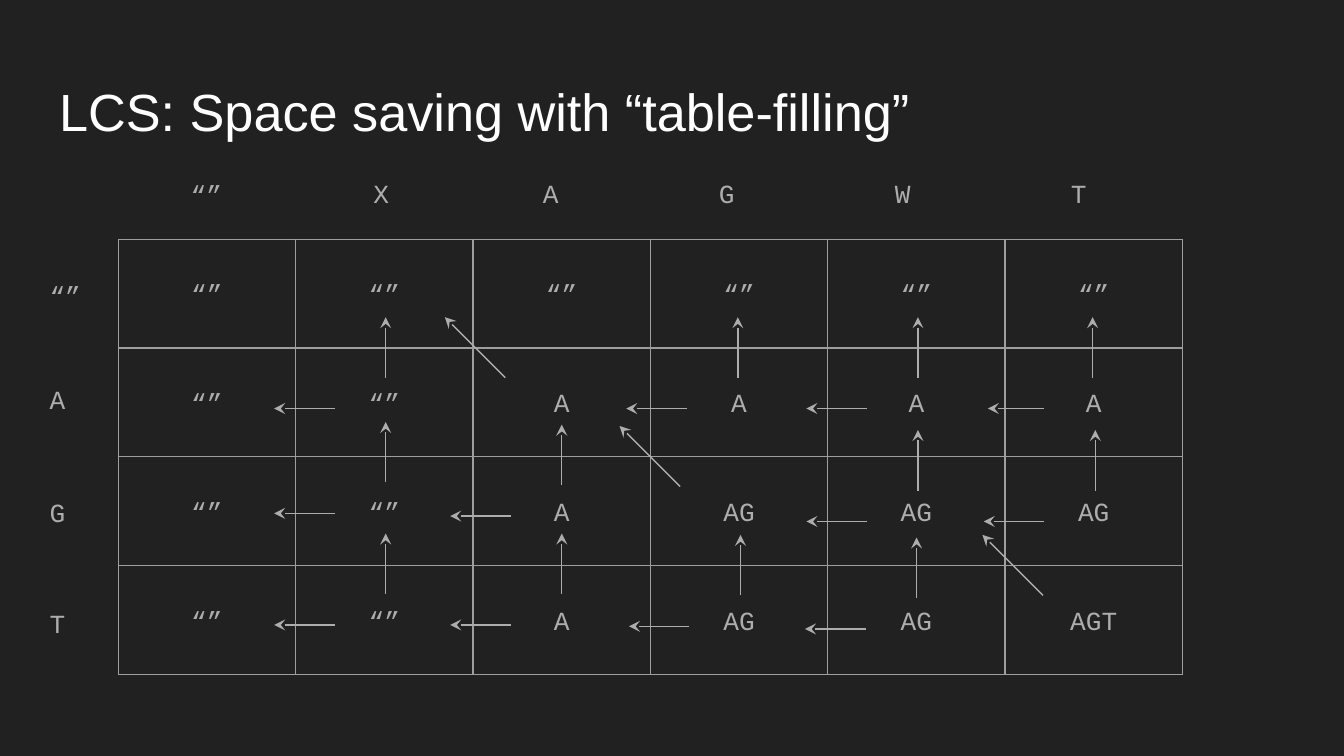
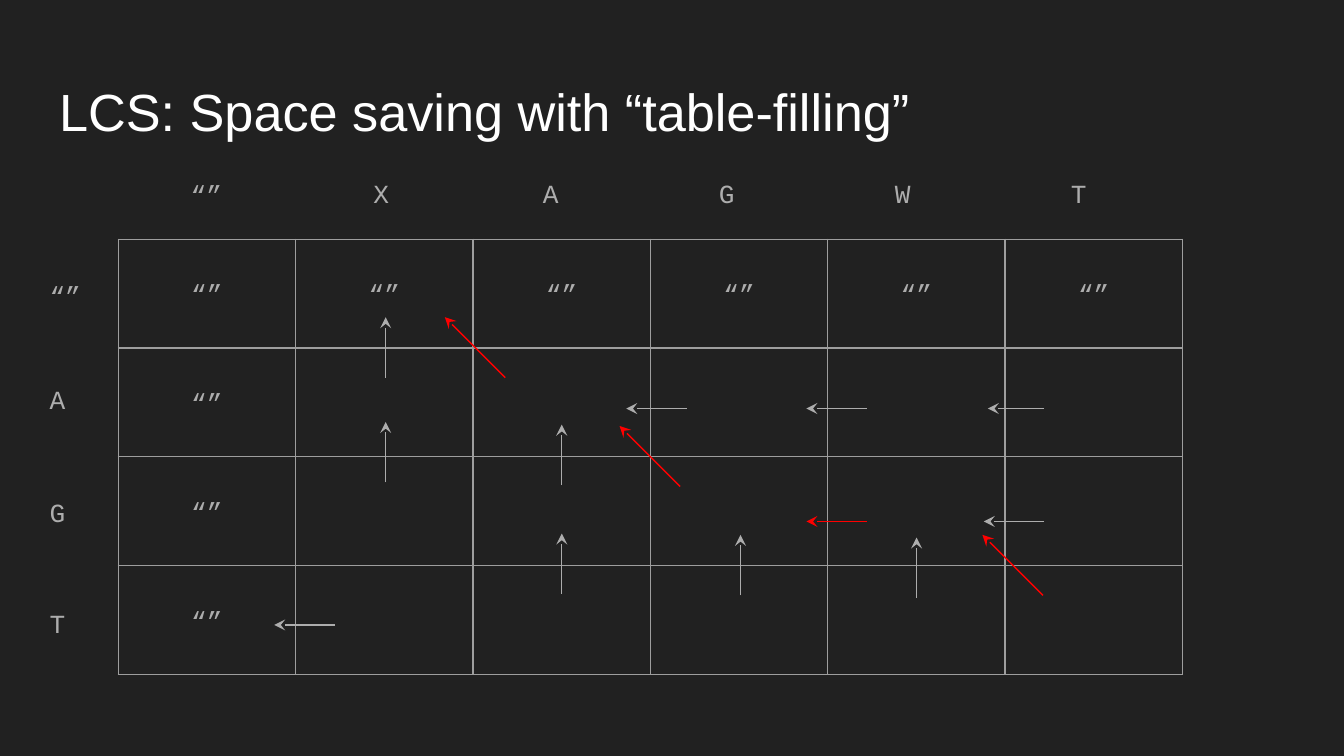
"""Build two slides on filling and tracing the table of a longest common subsequence."""
from dataclasses import dataclass

from lxml import etree
from pptx import Presentation
from pptx import util as u
from pptx.dml.color import RGBColor
from pptx.enum import shapes, text
from pptx.oxml.ns import qn


@dataclass(frozen=True)
class Theme:
    """Colours, fonts and sizes shared by the slides."""
    ground: RGBColor = RGBColor(0x21, 0x21, 0x21)
    title: RGBColor = RGBColor(0xFF, 0xFF, 0xFF)
    body: RGBColor = RGBColor(0xAD, 0xAD, 0xAD)
    path_mark: RGBColor = RGBColor(0xFF, 0x00, 0x00)
    border: str = "9E9E9E"
    title_font: str = "Arial"
    code_font: str = "Courier New"
    title_size: u.Pt = u.Pt(28)
    code_size: u.Pt = u.Pt(14)
    line: u.Pt = u.Pt(0.75)
    inset: u.Inches = u.Inches(0.1)


@dataclass(frozen=True)
class Step:
    """Tail of a cell's left or diagonal arrow, and how the others follow from it."""
    x: float
    y: float
    reach: float = 0.45
    up_gap: float = 0.38


THEME = Theme()
TITLE = "LCS: Space saving with “table-filling”"
EMPTY = "“”"
COLUMN_LABELS = list(zip([EMPTY, *"XAGWT"], [1.32, 2.68, 3.94, 5.25, 6.56, 7.87]))
ROW_LABELS = list(zip([EMPTY, *"AGT"], [1.98, 2.75, 3.59, 4.42]))
ROW_HEIGHT, COLUMN_WIDTH = 0.81, 1.32
ARROW, UP_RISE = 0.45, 0.23

SUBSEQUENCES = [
    [EMPTY] * 6,
    [EMPTY, EMPTY, "A", "A", "A", "A"],
    [EMPTY, EMPTY, "A", "AG", "AG", "AG"],
    [EMPTY, EMPTY, "A", "AG", "AG", "AGT"],
]
STEPS = [
    [Step(2.49, 3.04), Step(3.76, 2.81), Step(5.11, 3.04), Step(6.45, 3.04),
     Step(7.77, 3.04, reach=0.42, up_gap=0.36)],
    [Step(2.49, 3.82), Step(3.8, 3.84), Step(5.06, 3.62), Step(6.45, 3.88), Step(7.77, 3.88)],
    [Step(2.49, 4.65), Step(3.8, 4.65), Step(5.13, 4.66), Step(6.44, 4.68), Step(7.76, 4.43)],
]
ALL_MOVES = [
    ["LU", "D", "LU", "LU", "LU"],
    ["LU", "LU", "D", "LU", "LU"],
    ["LU", "LU", "LU", "LU", "D"],
]
CHOSEN_MOVES = ["UDLLL", "UUDLL", "LUUUD"]
MOVE_BACK = {"L": (0, 1), "U": (1, 0), "D": (1, 1)}


def style_para(para, font, size, color):
    """Set one font on a whole paragraph."""
    para.font.name = font
    para.font.size = size
    para.font.color.rgb = color


def style_frame(frame):
    """Give a text frame the shared insets and wrapping."""
    frame.margin_left = frame.margin_right = THEME.inset
    frame.margin_top = frame.margin_bottom = THEME.inset
    frame.word_wrap = True
    frame.auto_size = text.MSO_AUTO_SIZE.NONE
    frame.vertical_anchor = text.MSO_ANCHOR.TOP


def add_title(page):
    """Place and style the title placeholder."""
    box = page.shapes.title
    box.left, box.top = u.Inches(0.34), u.Inches(0.49)
    box.width, box.height = u.Inches(9.32), u.Inches(0.63)
    box.text_frame.text = TITLE
    style_frame(box.text_frame)
    para = box.text_frame.paragraphs[0]
    para.alignment = text.PP_ALIGN.LEFT
    style_para(para, THEME.title_font, THEME.title_size, THEME.title)


def add_label(page, label, left, top):
    """Add a letter beside or above the table."""
    box = page.shapes.add_textbox(u.Inches(left), u.Inches(top), u.Inches(0.55), u.Inches(0.45))
    box.text_frame.text = label
    style_frame(box.text_frame)
    style_para(box.text_frame.paragraphs[0], THEME.code_font, THEME.code_size, THEME.body)


def style_cell(cell):
    """Draw the four borders of a cell and clear its fill."""
    properties = cell._tc.get_or_add_tcPr()
    for side in ("a:lnL", "a:lnR", "a:lnT", "a:lnB"):
        border = etree.SubElement(properties, qn(side), w=str(int(THEME.line)))
        fill = etree.SubElement(border, qn("a:solidFill"))
        etree.SubElement(fill, qn("a:srgbClr"), val=THEME.border)
    cell.fill.background()


def add_grid(page, rows):
    """Add the table of subsequences."""
    row_count, column_count = len(rows), len(rows[0])
    table = page.shapes.add_table(
        row_count, column_count, u.Inches(0.88), u.Inches(1.78),
        u.Inches(COLUMN_WIDTH * column_count), u.Inches(ROW_HEIGHT * row_count)).table
    table.first_row = table.horz_banding = False
    for column in table.columns:
        column.width = u.Inches(COLUMN_WIDTH)
    for row, values in zip(table.rows, rows):
        row.height = u.Inches(ROW_HEIGHT)
        for cell, value in zip(row.cells, values):
            style_cell(cell)
            if value:
                cell.text = value
                cell.margin_top = u.Inches(0.32)
                para = cell.text_frame.paragraphs[0]
                para.alignment = text.PP_ALIGN.CENTER
                style_para(para, THEME.code_font, THEME.code_size, THEME.body)


def add_arrow(canvas, step, move, color):
    """Draw the left, up or diagonal arrow of one cell."""
    x, y = step.x, step.y
    if move == "U":
        x, y = x + step.up_gap, y - UP_RISE
    rise, run = MOVE_BACK[move]
    reach = step.reach if move == "L" else ARROW
    arrow = canvas.add_connector(
        shapes.MSO_CONNECTOR.STRAIGHT, u.Inches(x), u.Inches(y),
        u.Inches(x - run * reach), u.Inches(y - rise * reach))
    arrow.line.color.rgb = color
    arrow.line.width = THEME.line
    properties = arrow.element.spPr
    etree.SubElement(properties.find(qn("a:ln")), qn("a:tailEnd"), type="stealth")
    etree.SubElement(properties, qn("a:effectLst"))


def trace_path(moves):
    """Follow the moves back from the last cell and return the cells passed."""
    row, column = len(moves), len(moves[0])
    cells = set()
    while row and column:
        cells.add((row, column))
        rise, run = MOVE_BACK[moves[row - 1][column - 1]]
        row, column = row - rise, column - run
    return cells


def add_arrows(page, moves, path_cells=()):
    """Draw every cell's arrows, grouped where a cell has two."""
    for row, (steps, row_moves) in enumerate(zip(STEPS, moves), 1):
        for column, (step, cell_moves) in enumerate(zip(steps, row_moves), 1):
            color = THEME.path_mark if (row, column) in path_cells else THEME.body
            canvas = page.shapes
            if len(cell_moves) > 1:
                canvas = page.shapes.add_group_shape().shapes
            for move in cell_moves:
                add_arrow(canvas, step, move, color)


def add_page(deck, rows, moves, path_cells=()):
    """Add a slide with its title, table, labels and arrows."""
    page = deck.slides.add_slide(deck.slide_layouts.get_by_name("Title Only"))
    add_title(page)
    add_grid(page, rows)
    for label, left in COLUMN_LABELS:
        add_label(page, label, left, 1.23 if label == EMPTY else 1.22)
    for label, top in ROW_LABELS:
        add_label(page, label, 0.27, top)
    add_arrows(page, moves, path_cells)


def main():
    """Build and save the deck."""
    deck = Presentation()
    deck.slide_width = u.Inches(10)
    deck.slide_height = deck.slide_width * 9 // 16
    ground = deck.slide_master.background.fill
    ground.solid()
    ground.fore_color.rgb = THEME.ground
    add_page(deck, SUBSEQUENCES, ALL_MOVES)
    first_row, *other_rows = SUBSEQUENCES
    base_cases = [first_row] + [[row[0]] + [""] * (len(row) - 1) for row in other_rows]
    add_page(deck, base_cases, CHOSEN_MOVES, trace_path(CHOSEN_MOVES))
    deck.save("out.pptx")


if __name__ == "__main__":
    main()
